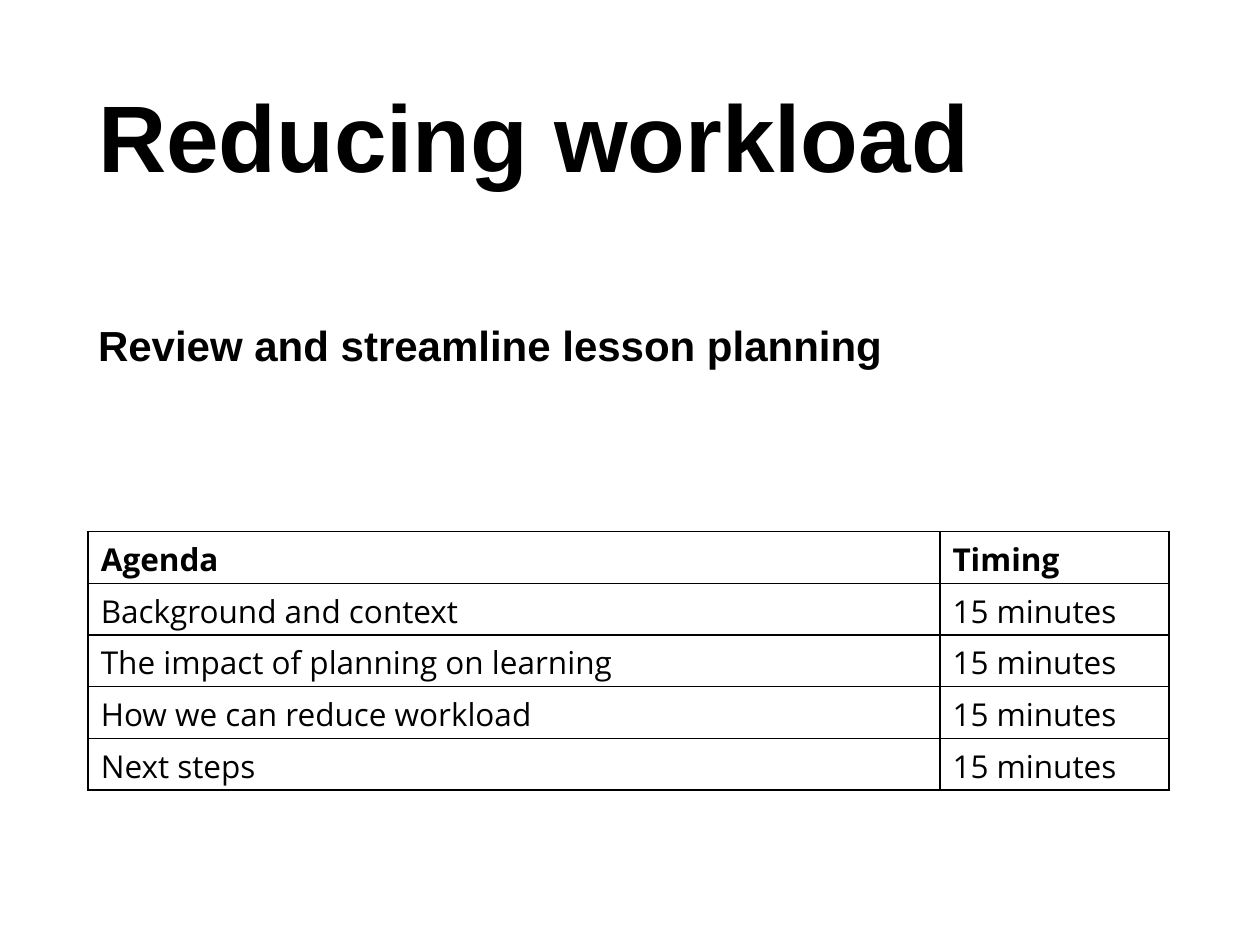
from typing import NamedTuple

from lxml.etree import SubElement
from pptx import Presentation
from pptx.dml.color import RGBColor
from pptx.enum.text import MSO_ANCHOR as Anchor
from pptx.oxml.ns import qn
from pptx.util import Inches, Pt

BLACK = "000000"
WHITE = "FFFFFF"
COLUMN_WIDTHS = (6.76, 1.82)
ROW_HEIGHT = 0.41


class Heading(NamedTuple):
    text: str
    left: float
    top: float
    width: float
    height: float
    size: int
    anchor: Anchor


class AgendaRow(NamedTuple):
    item: str
    timing: str


HEADINGS = (
    Heading("Reducing workload", 0.68, 0.36, 8.5, 1.42, 54, Anchor.MIDDLE),
    Heading("Review and streamline lesson planning", 0.68, 2.49, 9.06, 0.81, 24, Anchor.TOP),
)
AGENDA = (
    AgendaRow("Agenda", "Timing"),
    AgendaRow("Background and context", "15 minutes"),
    AgendaRow("The impact of planning on learning", "15 minutes"),
    AgendaRow("How we can reduce workload", "15 minutes"),
    AgendaRow("Next steps", "15 minutes"),
)


def color(value: str) -> RGBColor:
    return RGBColor.from_string(value)


def add_run(paragraph, text: str, font: str, size: int, bold: bool) -> None:
    run = paragraph.add_run()
    run.text = text
    run.font.name = font
    run.font.size = Pt(size)
    run.font.bold = bold
    run.font.color.rgb = color(BLACK)


def add_heading(slide, heading: Heading) -> None:
    box = slide.shapes.add_textbox(
        Inches(heading.left), Inches(heading.top), Inches(heading.width), Inches(heading.height)
    )
    frame = box.text_frame
    frame.word_wrap = True
    frame.vertical_anchor = heading.anchor
    add_run(frame.paragraphs[0], heading.text, "Arial", heading.size, True)


def add_borders(cell) -> None:
    """Draw a thin line on all four sides; call before the cell is filled."""
    properties = cell._tc.get_or_add_tcPr()
    for side in ("a:lnL", "a:lnR", "a:lnT", "a:lnB"):
        line = SubElement(properties, qn(side), w=str(Pt(1)))
        fill = SubElement(line, qn("a:solidFill"))
        SubElement(fill, qn("a:srgbClr"), val=BLACK)


def style_cell(cell, text: str, bold: bool) -> None:
    add_borders(cell)
    cell.fill.solid()
    cell.fill.fore_color.rgb = color(WHITE)
    cell.margin_top = Inches(0.05)
    cell.margin_bottom = Inches(0)
    add_run(cell.text_frame.paragraphs[0], text, "Open Sans", 18, bold)


def add_agenda(slide, left: float, top: float) -> None:
    table = slide.shapes.add_table(
        len(AGENDA), len(COLUMN_WIDTHS), Inches(left), Inches(top),
        Inches(sum(COLUMN_WIDTHS)), Inches(ROW_HEIGHT * len(AGENDA)),
    ).table
    for column, width in zip(table.columns, COLUMN_WIDTHS):
        column.width = Inches(width)
    for index, (row, entry) in enumerate(zip(table.rows, AGENDA)):
        row.height = Inches(ROW_HEIGHT)
        for cell, text in zip(row.cells, entry):
            style_cell(cell, text, bold=index == 0)


def main() -> None:
    presentation = Presentation()
    presentation.slide_width = Inches(10)
    presentation.slide_height = Inches(7.5)
    slide = presentation.slides.add_slide(presentation.slide_layouts[6])
    for heading in HEADINGS:
        add_heading(slide, heading)
    add_agenda(slide, 0.7, 4.22)
    presentation.save("out.pptx")


if __name__ == "__main__":
    main()
